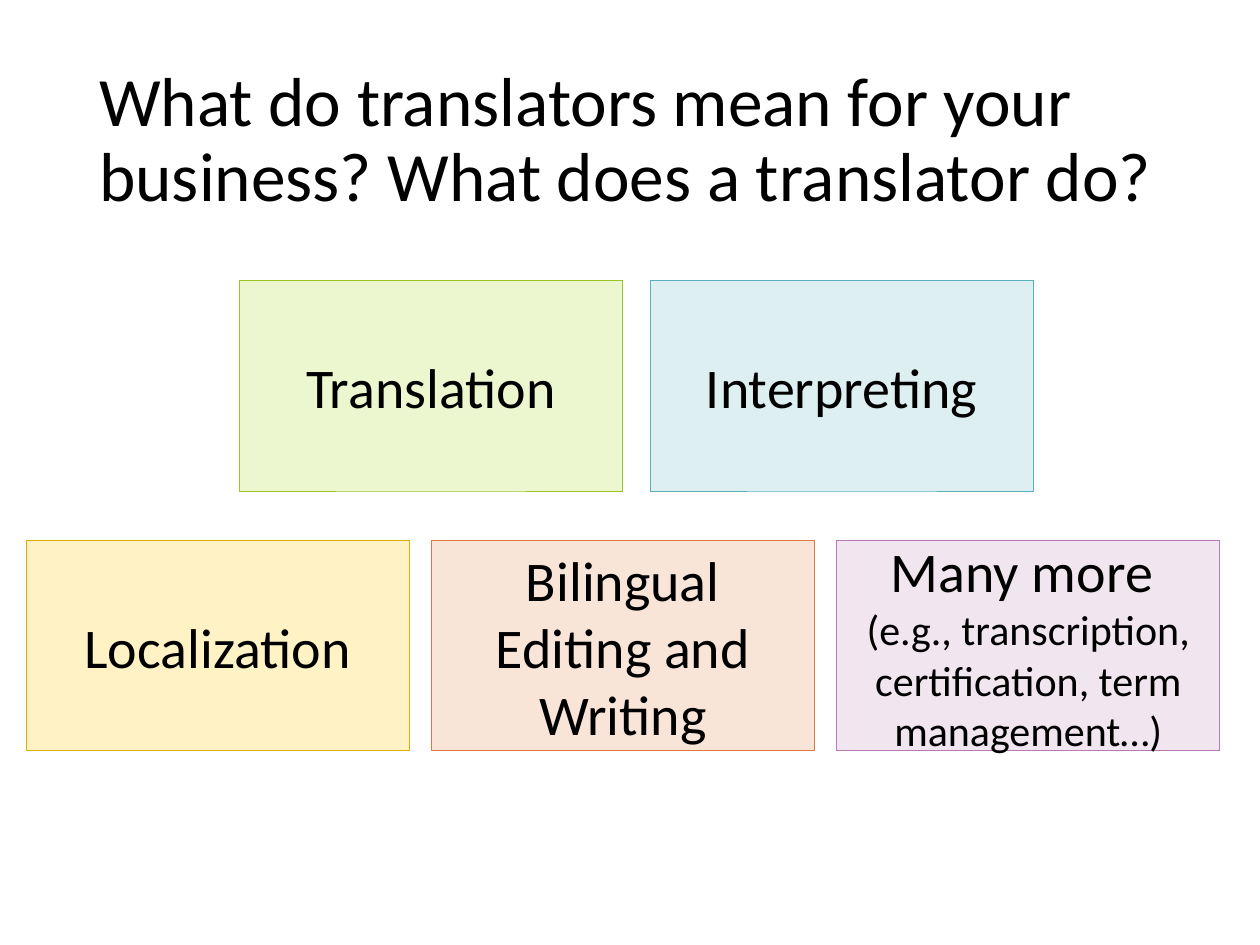
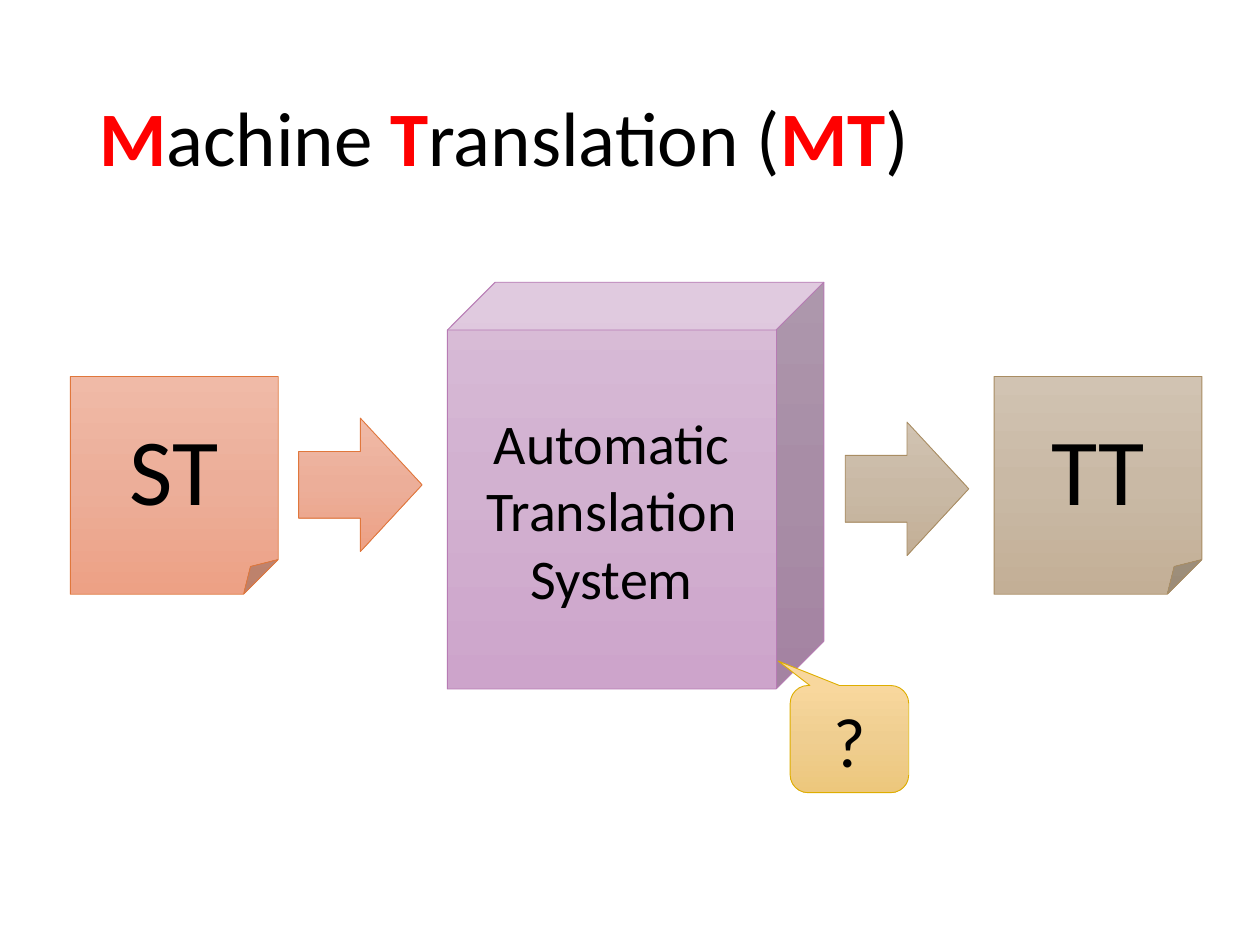
from copy import deepcopy

from pptx import Presentation
from pptx import util as u
from pptx.dml.color import RGBColor
from pptx.enum import shapes, text
from pptx.oxml.ns import qn

BLACK = RGBColor(0x00, 0x00, 0x00)
RED = RGBColor(0xFF, 0x00, 0x00)
GREEN = RGBColor(0x98, 0xC7, 0x23)
TEAL = RGBColor(0x59, 0xB0, 0xB9)
GOLD = RGBColor(0xDE, 0xAE, 0x00)
ORANGE = RGBColor(0xE0, 0x77, 0x3C)
PURPLE = RGBColor(0xB7, 0x7B, 0xB4)
BROWN = RGBColor(0xA9, 0x8D, 0x63)

PALE = {
    GREEN: RGBColor(0xEC, 0xF7, 0xD0),
    TEAL: RGBColor(0xDE, 0xEF, 0xF1),
    GOLD: RGBColor(0xFF, 0xF3, 0xC5),
    ORANGE: RGBColor(0xF9, 0xE4, 0xD8),
    PURPLE: RGBColor(0xF1, 0xE5, 0xF0),
}
SHADES = {
    ORANGE: (RGBColor(0xF0, 0xBA, 0xA7), RGBColor(0xEC, 0xAE, 0x99), RGBColor(0xED, 0xA1, 0x85)),
    BROWN: (RGBColor(0xD1, 0xC3, 0xB2), RGBColor(0xC9, 0xB9, 0xA5), RGBColor(0xC3, 0xAF, 0x96)),
    PURPLE: (RGBColor(0xD9, 0xBD, 0xD8), RGBColor(0xD2, 0xB1, 0xD0), RGBColor(0xCD, 0xA4, 0xCB)),
    GOLD: (RGBColor(0xF8, 0xD7, 0x9D), RGBColor(0xEF, 0xCE, 0x90), RGBColor(0xED, 0xC7, 0x7C)),
}


def add_run(paragraph, words, size=32, color=BLACK, bold=False):
    run = paragraph.add_run()
    run.text = words
    run.font.name = "Calibri"
    run.font.size = u.Pt(size)
    run.font.color.rgb = color
    run.font.bold = bold


def write(frame, paragraphs, align=text.PP_ALIGN.CENTER, line_spacing=None):
    """Fill a frame; each paragraph is a list of (words, format) runs."""
    frame.word_wrap = True
    frame.vertical_anchor = text.MSO_ANCHOR.MIDDLE
    for index, runs in enumerate(paragraphs):
        paragraph = frame.add_paragraph() if index else frame.paragraphs[0]
        paragraph.alignment = align
        if line_spacing:
            paragraph.line_spacing = line_spacing
        for words, style in runs:
            add_run(paragraph, words, **style)


def shade(shape, colors):
    """Fill with a three-stop gradient running from top to bottom."""
    shape.fill.gradient()
    shape.fill.gradient_angle = 270
    stop_list = shape._element.spPr.find(qn("a:gradFill")).find(qn("a:gsLst"))
    stop_list.insert(1, deepcopy(stop_list[0]))
    for stop, position, color in zip(shape.fill.gradient_stops, (0, 0.5, 1), colors):
        stop.position = position
        stop.color.rgb = color


class Deck:
    """Holds the presentation, its shared style and the current slide."""

    def __init__(self):
        self.presentation = Presentation()
        self.presentation.slide_width = u.Cm(25.4)
        self.presentation.slide_height = u.Cm(19.05)
        self.slide = None

    def new_slide(self, title_runs):
        self.slide = self.presentation.slides.add_slide(self.presentation.slide_layouts[6])
        title = self.slide.shapes.add_textbox(u.Cm(1.75), u.Cm(1.02), u.Cm(21.89), u.Cm(3.68))
        write(title.text_frame, [title_runs], align=text.PP_ALIGN.LEFT, line_spacing=0.9)

    def figure(self, kind, box, accent, paragraphs=(), adjustments=()):
        shape = self.slide.shapes.add_shape(kind, *map(u.Cm, box))
        shape.shadow.inherit = False
        shape.line.color.rgb = accent
        shape.line.width = u.Pt(0.5)
        for index, value in enumerate(adjustments):
            shape.adjustments[index] = value
        write(shape.text_frame, paragraphs)
        return shape

    def tile(self, box, accent, paragraphs):
        tile = self.figure(shapes.MSO_SHAPE.RECTANGLE, box, accent, paragraphs)
        tile.fill.solid()
        tile.fill.fore_color.rgb = PALE[accent]

    def shaded(self, kind, box, accent, words="", size=32, adjustments=()):
        paragraphs = [[(words, {"size": size})]] if words else []
        shade(self.figure(kind, box, accent, paragraphs, adjustments), SHADES[accent])


def services_slide(deck):
    deck.new_slide([("What do translators mean for your business? "
                     "What does a translator do?", {"size": 39.6})])
    more = [[("Many more ", {})],
            [("(e.g., transcription, certification, term management…)", {"size": 24})]]
    rows = [
        (4.83, 5.66, 8.28, [(GREEN, [[("Translation", {})]]),
                            (TEAL, [[("Interpreting", {})]])]),
        (0.53, 10.9, 8.17, [(GOLD, [[("Localization", {})]]),
                            (ORANGE, [[("Bilingual Editing and Writing", {})]]),
                            (PURPLE, more)]),
    ]
    for left, top, step, services in rows:
        for column, (accent, paragraphs) in enumerate(services):
            deck.tile((left + column * step, top, 7.72, 4.24), accent, paragraphs)


def machine_translation_slide(deck):
    initial = {"size": 44, "color": RED, "bold": True}
    plain = {"size": 44}
    deck.new_slide([("M", initial), ("achine ", plain), ("T", initial),
                    ("ranslation (", plain), ("MT", initial), (")", plain)])
    kind = shapes.MSO_SHAPE
    for left, accent, words in [(1.42, ORANGE, "ST"), (20.04, BROWN, "TT")]:
        deck.shaded(kind.FOLDED_CORNER, (left, 7.59, 4.19, 4.39), accent, words, size=54)
    deck.shaded(kind.CUBE, (9.02, 5.69, 7.59, 8.2), PURPLE,
                "Automatic Translation System", adjustments=[0.127])
    for left, top, accent in [(6.02, 8.43, ORANGE), (17.04, 8.51, BROWN)]:
        deck.shaded(kind.RIGHT_ARROW, (left, top, 2.49, 2.69), accent)
    deck.shaded(kind.ROUNDED_RECTANGULAR_CALLOUT, (15.93, 13.82, 2.39, 2.16), GOLD,
                "?", size=40, adjustments=[-0.602, -0.729, 0.167])


def main():
    deck = Deck()
    services_slide(deck)
    machine_translation_slide(deck)
    deck.presentation.save("out.pptx")


if __name__ == "__main__":
    main()
